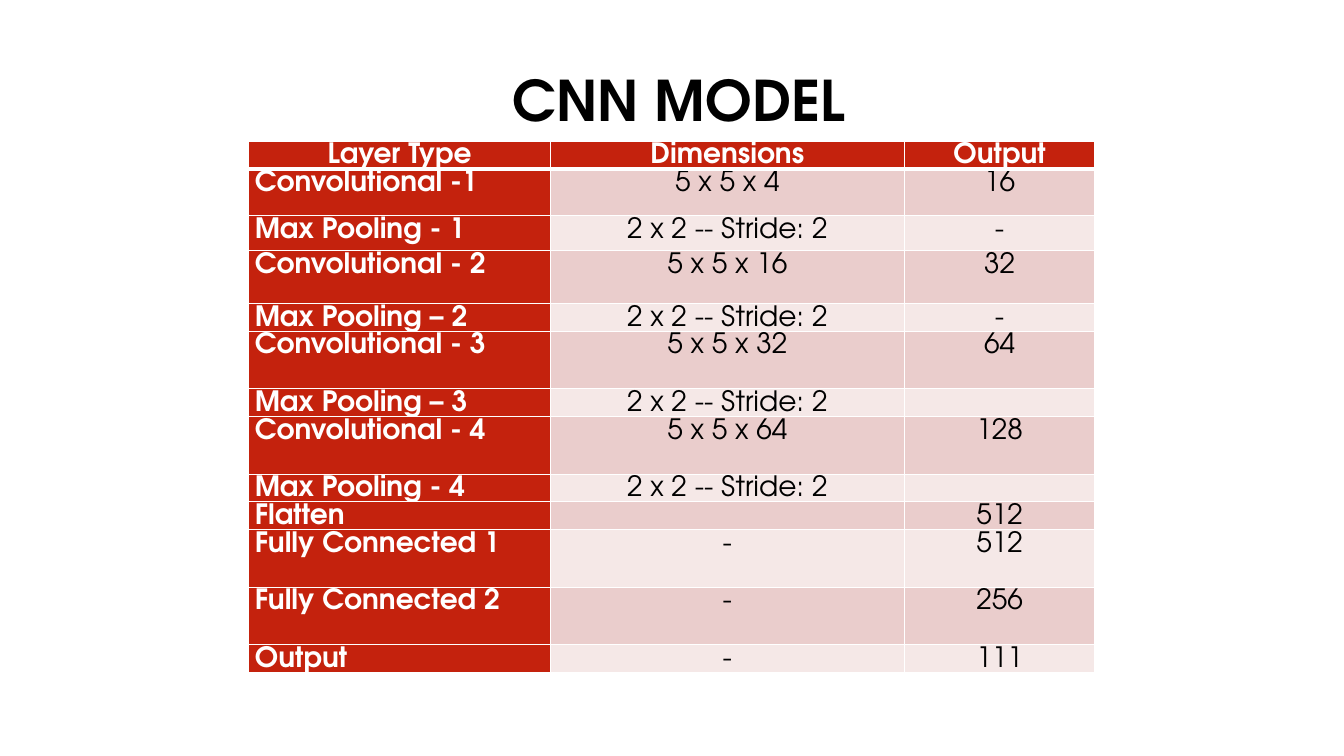
from lxml.etree import SubElement as Sub
from pptx import Presentation
from pptx.dml.color import RGBColor as Rgb
from pptx.enum.text import MSO_ANCHOR as Anchor, PP_ALIGN as Align
from pptx.oxml.ns import qn
from pptx.util import Cm, Pt

FONT = "TeX Gyre Adventor"
COLORS = {"red": "C4220D", "rose": "EACDCC", "pale": "F5E8E7",
          "white": "FFFFFF", "black": "000000"}
WIDTHS = [7.6, 8.92, 4.8]
POOL = "2 x 2 -- Stride: 2"
# Row height in cm, then the cell texts
ROWS = [
    (0.7, "Layer Type", "Dimensions", "Output"),
    (1.18, "Convolutional -1", "5 x 5 x 4", "16"),
    (0.88, "Max Pooling - 1", POOL, "-"),
    (1.33, "Convolutional - 2", "5 x 5 x 16", "32"),
    (0.7, "Max Pooling – 2", POOL, "-"),
    (1.45, "Convolutional - 3", "5 x 5 x 32", "64"),
    (0.7, "Max Pooling – 3", POOL, ""),
    (1.45, "Convolutional - 4", "5 x 5 x 64", "128"),
    (0.7, "Max Pooling - 4", POOL, ""),
    (0.7, "Flatten", "", "512"),
    (1.45, "Fully Connected 1", "-", "512"),
    (1.45, "Fully Connected 2", "-", "256"),
    (0.7, "Output", "-", "111"),
]


def style(para, size, color, bold, align, space):
    para.alignment = align
    para.line_spacing = space
    para.space_before = para.space_after = Pt(0)
    for run in para.runs or [para.add_run()]:
        font = run.font
        font.name, font.size, font.bold = FONT, Pt(size), bold
        font.color.rgb = Rgb.from_string(COLORS[color])


def add_title(slide, left, top, width, height):
    box = slide.shapes.add_textbox(Cm(left), Cm(top), Cm(width), Cm(height))
    frame = box.text_frame
    frame.word_wrap = True
    frame.vertical_anchor = Anchor.MIDDLE
    frame.text = "CNN MODEL"
    style(frame.paragraphs[0], 40, "black", True, Align.CENTER, 0.9)


def add_edges(cell, row):
    """Draw white cell borders, with a thick rule under the header."""
    props = cell._tc.get_or_add_tcPr()
    for side in "LRTB":
        thick = (row, side) in ((0, "B"), (1, "T"))
        line = Sub(props, qn(f"a:ln{side}"), w=str(Pt(3 if thick else 1)))
        Sub(Sub(line, qn("a:solidFill")), qn("a:srgbClr"), val=COLORS["white"])


def fill_cell(cell, text, row, col):
    head = row == 0 or col == 0
    cell.margin_left = cell.margin_right = Cm(0.15)
    cell.margin_top = 0
    cell.margin_bottom = Cm(-0.22)  # lets a row be lower than its line of text
    add_edges(cell, row)
    cell.fill.solid()
    shade = "red" if head else "rose" if row % 2 else "pale"
    cell.fill.fore_color.rgb = Rgb.from_string(COLORS[shade])
    cell.text_frame.text = text
    align = Align.LEFT if col == 0 and row else Align.CENTER
    style(cell.text_frame.paragraphs[0], 20, "white" if head else "black",
          head, align, 1.07)


def add_layers(slide, left, top):
    width, height = sum(WIDTHS), sum(row[0] for row in ROWS)
    table = slide.shapes.add_table(len(ROWS), len(WIDTHS), Cm(left), Cm(top),
                                   Cm(width), Cm(height)).table
    for col, size in enumerate(WIDTHS):
        table.columns[col].width = Cm(size)
    for row, (size, *texts) in enumerate(ROWS):
        table.rows[row].height = Cm(size)
        for col, text in enumerate(texts):
            fill_cell(table.cell(row, col), text, row, col)


def main():
    deck = Presentation()
    deck.slide_width, deck.slide_height = Cm(33.87), Cm(19.05)
    slide = deck.slides.add_slide(deck.slide_layouts[6])
    add_title(slide, 6.63, 0.81, 20.96, 3.58)
    add_layers(slide, 6.27, 3.56)
    deck.save("out.pptx")


if __name__ == "__main__":
    main()
